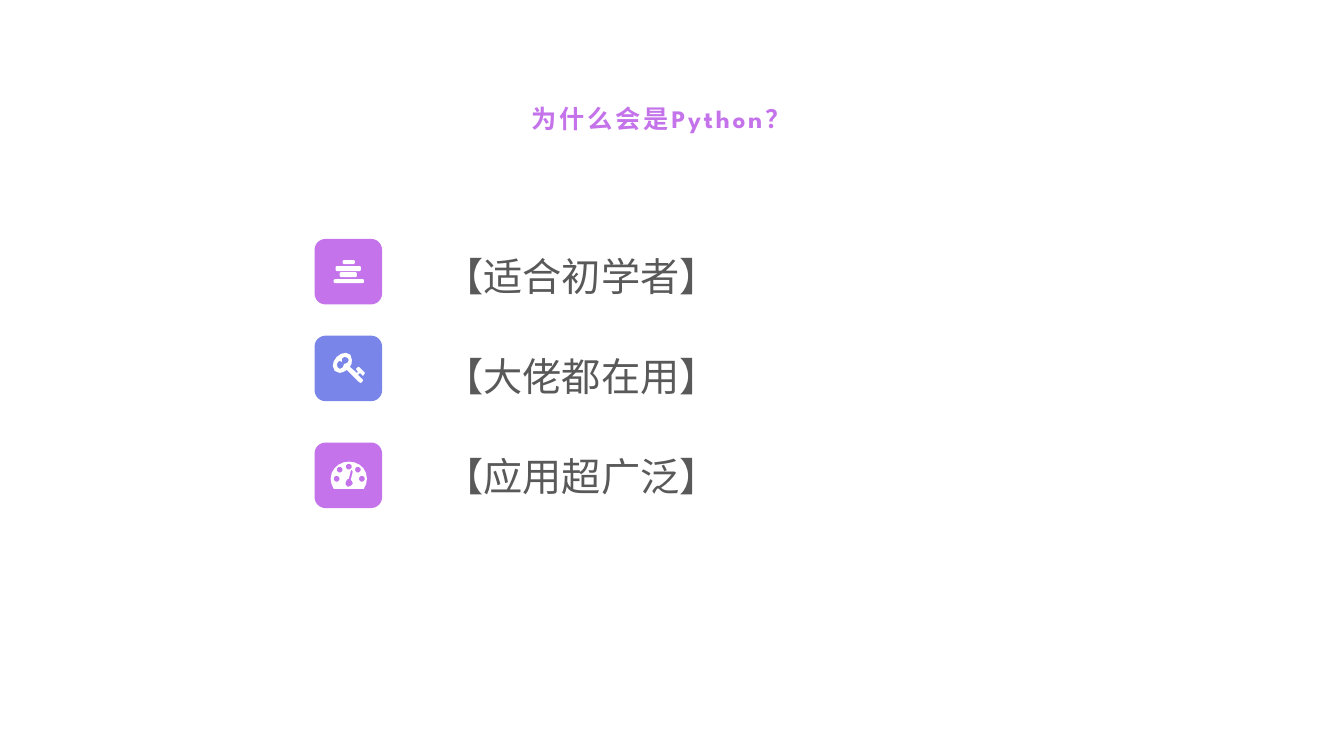
import math
from dataclasses import dataclass

import pptx
import pptx.dml.color
import pptx.enum.shapes
import pptx.enum.text
import pptx.util
from pptx.util import Inches


@dataclass(frozen=True)
class Theme:
    purple: str = "C473EB"
    blue: str = "7985E8"
    gradient_end: str = "7E85E8"
    white: str = "FFFFFF"
    text: str = "595959"
    title_font: str = "League Spartan"
    body_font: str = "Arial"
    title_size: int = 18
    body_size: int = 28
    title_tracking: int = 200


THEME = Theme()
TILE_LEFT, TILE_WIDTH, TILE_HEIGHT = 3.12, 0.67, 0.65
REASON_LEFT, REASON_TOP, REASON_PITCH = 4.31, 2.36, 0.99

# Two numbers are a corner; six are a Bézier curve's controls and end.
KEY_OUTLINE = [
    (3.6, 3.73), (3.57, 3.7), (3.55, 3.72), (3.6, 3.77), (3.6, 3.78),
    (3.58, 3.8), (3.56, 3.79), (3.44, 3.67),
    (3.42, 3.68, 3.4, 3.7, 3.37, 3.7), (3.33, 3.7, 3.3, 3.67, 3.3, 3.63),
    (3.3, 3.57, 3.36, 3.5, 3.43, 3.5), (3.47, 3.5, 3.49, 3.53, 3.49, 3.57),
    (3.49, 3.6, 3.49, 3.62, 3.47, 3.64), (3.54, 3.7), (3.55, 3.69),
    (3.53, 3.66), (3.55, 3.64), (3.56, 3.64), (3.62, 3.7),
]
KEY_HOLE = [
    (3.42, 3.54), (3.4, 3.54, 3.39, 3.56, 3.39, 3.57), (3.39, 3.59), (3.37, 3.58),
    (3.36, 3.58, 3.34, 3.6, 3.34, 3.62), (3.34, 3.64, 3.36, 3.66, 3.37, 3.66),
    (3.39, 3.66, 3.41, 3.64, 3.41, 3.62), (3.41, 3.61), (3.42, 3.61),
    (3.44, 3.61, 3.46, 3.59, 3.46, 3.57), (3.46, 3.56, 3.44, 3.54, 3.42, 3.54),
]
GAUGE_DOME = [
    (3.61, 4.85), (3.31, 4.85), (3.29, 4.82, 3.28, 4.78, 3.28, 4.75),
    (3.28, 4.65, 3.37, 4.58, 3.46, 4.58), (3.56, 4.58, 3.64, 4.65, 3.64, 4.75),
    (3.64, 4.78, 3.63, 4.82, 3.61, 4.85),
]
GAUGE_NEEDLE = [
    (3.5, 4.68), (3.49, 4.66), (3.48, 4.67), (3.46, 4.75),
    (3.45, 4.75, 3.43, 4.76, 3.43, 4.78), (3.42, 4.8, 3.43, 4.82, 3.45, 4.83),
    (3.47, 4.83, 3.49, 4.82, 3.5, 4.8), (3.5, 4.78, 3.49, 4.77, 3.48, 4.76),
]
GAUGE_DOTS = [(3.34, 4.75), (3.37, 4.66), (3.46, 4.63), (3.55, 4.66), (3.59, 4.75)]
# Left, top, right and bottom of each bar.
BARS = [(3.4, 2.58, 3.52, 2.62), (3.33, 2.64, 3.58, 2.69),
        (3.37, 2.7, 3.54, 2.75), (3.31, 2.77, 3.61, 2.81)]


def rgb(value):
    return pptx.dml.color.RGBColor.from_string(value)


def flatten(segments):
    """Turn corners and Bézier curves into points, more on longer curves."""
    points = []
    for segment in segments:
        if len(segment) == 2:
            points.append(segment)
            continue
        controls = [points[-1], segment[:2], segment[2:4], segment[4:]]
        steps = max(2, round(math.dist(controls[0], controls[3]) / 0.05))
        for step in range(1, steps + 1):
            t = step / steps
            weights = [math.comb(3, i) * t**i * (1 - t)**(3 - i) for i in range(4)]
            points.append(tuple(
                sum(w * control[axis] for w, control in zip(weights, controls))
                for axis in (0, 1)))
    return points


def dot(center_x, center_y, radius=0.03, sides=8):
    angles = [math.tau * (i + 0.5) / sides for i in range(sides)]
    return [(center_x + radius * math.cos(a), center_y + radius * math.sin(a))
            for a in angles]


def bar(left, top, right, bottom, cut=0.01):
    """Outline a bar with its corners cut."""
    return [(left + cut, top), (right - cut, top), (right, top + cut),
            (right, bottom - cut), (right - cut, bottom), (left + cut, bottom),
            (left, bottom - cut), (left, top + cut)]


def paint(shape, color):
    shape.fill.solid()
    shape.fill.fore_color.rgb = rgb(color)
    shape.line.fill.background()
    shape.shadow.inherit = False


def add_icon_tile(page, top, color, contours):
    group = page.shapes.add_group_shape()
    tile = group.shapes.add_shape(
        pptx.enum.shapes.MSO_SHAPE.ROUNDED_RECTANGLE, Inches(TILE_LEFT),
        Inches(top), Inches(TILE_WIDTH), Inches(TILE_HEIGHT))
    paint(tile, color)

    outlines = [[(Inches(x), Inches(y)) for x, y in contour] for contour in contours]
    builder = group.shapes.build_freeform(*outlines[0][0])
    for i, outline in enumerate(outlines):
        if i:
            builder.move_to(*outline[0])
        builder.add_line_segments(outline[1:], close=True)
    paint(builder.convert_to_shape(), THEME.white)


def add_text(page, text, left, top, width, height, font_name, size):
    """Add a one-line text box and return its paragraph and run."""
    box = page.shapes.add_textbox(
        Inches(left), Inches(top), Inches(width), Inches(height))
    box.text_frame.word_wrap = True
    box.text_frame.auto_size = pptx.enum.text.MSO_AUTO_SIZE.SHAPE_TO_FIT_TEXT
    para = box.text_frame.paragraphs[0]
    para.line_spacing = 1.2
    span = para.add_run()
    span.text = text
    span.font.name = font_name
    span.font.size = pptx.util.Pt(size)
    return para, span


def add_reason(page, index, text):
    _, span = add_text(page, text, REASON_LEFT, REASON_TOP + index * REASON_PITCH,
                       4.49, 0.62, THEME.body_font, THEME.body_size)
    span.font.color.rgb = rgb(THEME.text)


def add_title(page, text):
    para, span = add_text(page, text, 0.99, 0.92, 11.13, 0.43,
                          THEME.title_font, THEME.title_size)
    para.alignment = pptx.enum.text.PP_ALIGN.CENTER
    span.font.bold = True
    span.font.fill.gradient()
    span.font.fill.gradient_angle = 0
    for stop, color in zip(span.font.fill.gradient_stops,
                           (THEME.purple, THEME.gradient_end)):
        stop.color.rgb = rgb(color)
    span.font._element.set("spc", str(THEME.title_tracking))


def main():
    deck = pptx.Presentation()
    deck.slide_width, deck.slide_height = Inches(13.33), Inches(7.5)
    page = deck.slides.add_slide(deck.slide_layouts[6])

    for index, reason in enumerate(("【适合初学者】", "【大佬都在用】", "【应用超广泛】")):
        add_reason(page, index, reason)

    bars = [bar(*edges) for edges in BARS]
    key = [flatten(KEY_OUTLINE), flatten(KEY_HOLE)]
    gauge = [flatten(GAUGE_DOME), flatten(GAUGE_NEEDLE)]
    gauge += [dot(*center) for center in GAUGE_DOTS]
    add_icon_tile(page, 2.37, THEME.purple, bars)
    add_icon_tile(page, 3.33, THEME.blue, key)
    add_icon_tile(page, 4.39, THEME.purple, gauge)

    add_title(page, "为什么会是Python？")
    deck.save("out.pptx")


if __name__ == "__main__":
    main()
